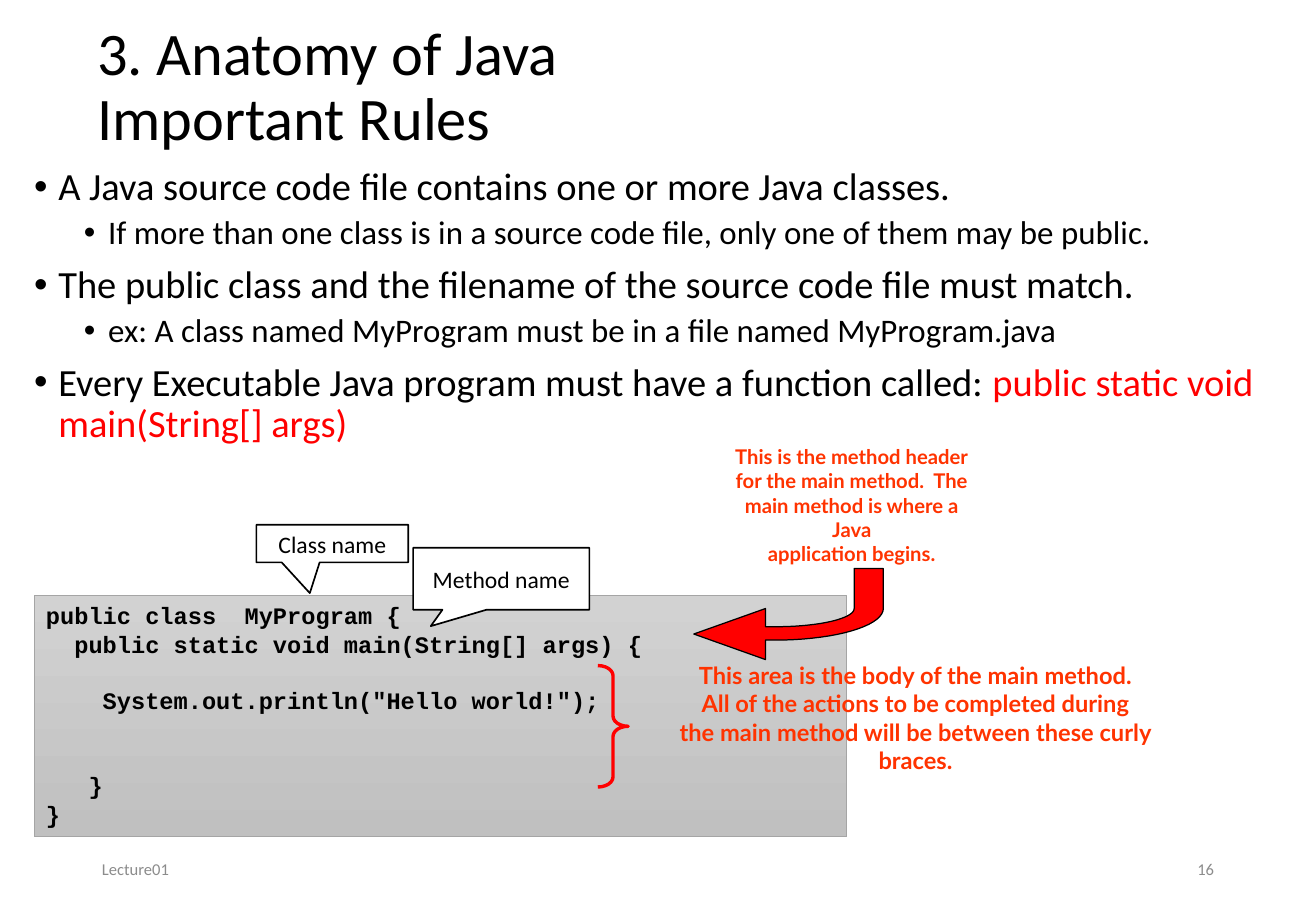
import math

import pptx
import pptx.dml.color
import pptx.enum.shapes
import pptx.enum.text
import pptx.oxml
import pptx.oxml.ns
import pptx.util

Inches = pptx.util.Inches
Pt = pptx.util.Pt
RGB = pptx.dml.color.RGBColor
Shape = pptx.enum.shapes.MSO_SHAPE
Align = pptx.enum.text.PP_ALIGN
Anchor = pptx.enum.text.MSO_ANCHOR
Fit = pptx.enum.text.MSO_AUTO_SIZE

BLACK = RGB(0, 0, 0)
WHITE = RGB(255, 255, 255)
RED = RGB(255, 0, 0)
ORANGE = RGB(0xFF, 0x33, 0x00)
GREY = RGB(0x8C, 0x8C, 0x8C)
EDGE = RGB(0xA5, 0xA5, 0xA5)
SHADES = RGB(0xD2, 0xD2, 0xD2), RGB(0xC0, 0xC0, 0xC0)

RULES = [
    (0, ["A Java source code file contains one or more Java classes."]),
    (1, ["If more than one class is in a source code file, only one of them may be public."]),
    (0, ["The public class and the filename of the source code file must match."]),
    (1, ["ex: A class named MyProgram must be in a file named MyProgram.java"]),
    (0, ["Every Executable Java program must have a function called: ",
         "public static void main(String[] args)"]),
]
LEVELS = [(22.8, 8.1, 0.2), (19.5, 4.1, 0.61)]
CODE = [
    (0, "public class  MyProgram {"),
    (0, "  public static void main(String[] args) {"),
    (1, "    System.out.println(\"Hello world!\");"),
    (2, "   }"),
    (0, "}"),
]
HEADER = """This is the method header
for the main method.  The
main method is where a Java
application begins."""
BODY = """This area is the body of the main method.
All of the actions to be completed during
the main method will be between these curly braces."""


def place(shape, box):
    shape.left, shape.top, shape.width, shape.height = map(Inches, box)


def style(frame, size, color, font="Calibri", bold=False, align=Align.LEFT):
    for para in frame.paragraphs:
        para.alignment = align
        for run in para.runs:
            run.font.size = Pt(size)
            run.font.name = font
            run.font.bold = bold
            run.font.color.rgb = color


def add_form(slide, kind, box, line, width):
    form = slide.shapes.add_shape(kind, *map(Inches, box))
    form.shadow.inherit = False
    form.line.color.rgb = line
    form.line.width = Pt(width)
    return form


def add_label(slide, box, text, wrap=True):
    frame = slide.shapes.add_textbox(*map(Inches, box)).text_frame
    frame.word_wrap = wrap
    frame.text = text
    return frame


def add_title(slide, box):
    title = slide.shapes.title
    place(title, box)
    frame = title.text_frame
    frame.text = "3. Anatomy of Java \vImportant Rules"
    frame.auto_size = Fit.NONE
    frame.vertical_anchor = Anchor.MIDDLE
    frame.paragraphs[0].line_spacing = 0.9
    style(frame, 35.8, BLACK)


def add_rules(slide, box):
    body = slide.placeholders[1]
    place(body, box)
    frame = body.text_frame
    frame.text = "\n".join("".join(parts) for level, parts in RULES)
    frame.auto_size = Fit.NONE
    for para, (level, parts) in zip(frame.paragraphs, RULES):
        size, gap, indent = LEVELS[level]
        para.level = level
        para.line_spacing = 0.9
        para.space_before = Pt(gap)
        para.runs[0].text = parts[0]
        for part in parts[1:]:
            para.add_run().text = part
        for run, color in zip(para.runs, (BLACK, RED)):
            run.font.size = Pt(size)
            run.font.name = "Calibri"
            run.font.color.rgb = color
        props = para._p.get_or_add_pPr()
        props.set("marL", str(Inches(indent)))
        props.set("indent", str(-Inches(0.2)))
        names = pptx.oxml.ns.nsdecls("a")
        props.append(pptx.oxml.parse_xml(f'<a:buFont {names} typeface="Arial"/>'))
        props.append(pptx.oxml.parse_xml(f'<a:buChar {names} char="•"/>'))


def add_code(slide, box):
    panel = add_form(slide, Shape.RECTANGLE, box, EDGE, 0.5)
    panel.fill.gradient()
    panel.fill.gradient_angle = 270
    for stop, shade in zip(panel.fill.gradient_stops, SHADES):
        stop.color.rgb = shade
    frame = panel.text_frame
    frame.word_wrap = True
    frame.vertical_anchor = Anchor.TOP
    frame.text = "\n".join(text for gap, text in CODE)
    style(frame, 14, BLACK, "Courier New", True)
    pitch = 16.8
    for para, (gap, text) in zip(frame.paragraphs, CODE):
        para.line_spacing = Pt(pitch)
        para.space_before = Pt(gap * pitch)


def add_callout(slide, box, text, tip):
    call = add_form(slide, Shape.RECTANGULAR_CALLOUT, box, BLACK, 1)
    call.fill.solid()
    call.fill.fore_color.rgb = WHITE
    call.adjustments[0], call.adjustments[1] = tip
    frame = call.text_frame
    frame.word_wrap = True
    frame.vertical_anchor = Anchor.MIDDLE
    frame.text = text
    style(frame, 14, BLACK, align=Align.CENTER)


def add_body(slide, box):
    left, top, width, height = box
    brace = add_form(slide, Shape.RIGHT_BRACE, (left, top + 0.09, 0.25, 1), RED, 2)
    brace.fill.background()
    brace.adjustments[0], brace.adjustments[1] = 0.333, 0.5
    frame = add_label(slide, (left + 0.25, top, width - 0.25, 0.81), BODY, False)
    style(frame, 14, ORANGE, "Lato", True, Align.CENTER)


def add_arrow(slide, left, top):
    turns = [math.radians(step * 5) for step in range(19)]

    def arc(wide, high):
        return [(0.67 + wide * math.cos(turn), 0.33 + high * math.sin(turn)) for turn in turns]

    points = [(0, 0.54), (0.59, 0.75), (0.59, 0.59), *reversed(arc(0.89, 0.26)),
              (1.56, 0), (1.32, 0), *arc(0.65, 0.15), (0.59, 0.48), (0.59, 0.33)]
    spots = [(Inches(left + x), Inches(top + y)) for x, y in points]
    pen = slide.shapes.build_freeform(*spots[0])
    pen.add_line_segments(spots[1:], close=True)
    arrow = pen.convert_to_shape()
    arrow.shadow.inherit = False
    arrow.fill.solid()
    arrow.fill.fore_color.rgb = RED
    arrow.line.color.rgb = BLACK
    arrow.line.width = Pt(0.75)


def add_header(slide, box):
    left, top, width, height = box
    frame = add_label(slide, (left, top, width, 0.9), HEADER, False)
    style(frame, 12, ORANGE, "Lato", True, Align.CENTER)
    add_arrow(slide, left - 0.15, top + 1.07)


def add_footer(slide, box):
    left, top, width, height = box
    part = 2.44
    for text, start, align in (("Lecture01", left, Align.LEFT),
                               ("16", left + width - part, Align.RIGHT)):
        frame = add_label(slide, (start, top, part, height), text)
        frame.vertical_anchor = Anchor.MIDDLE
        style(frame, 9.8, GREY, align=align)


def main():
    deck = pptx.Presentation()
    deck.slide_width, deck.slide_height = Inches(10.83), Inches(7.5)
    slide = deck.slides.add_slide(deck.slide_layouts[1])
    add_title(slide, (0.7, 0, 9.34, 1.45))
    add_rules(slide, (0.18, 1.33, 10.38, 3.27))
    add_footer(slide, (0.74, 6.95, 9.35, 0.4))
    add_code(slide, (0.28, 4.9, 6.69, 1.99))
    add_callout(slide, (2.11, 4.32, 1.25, 0.31), "Class name", (-0.148, 1.318))
    add_callout(slide, (3.4, 4.51, 1.45, 0.51), "Method name", (-0.4, 0.765))
    add_body(slide, (4.92, 5.39, 4.98, 1.09))
    add_header(slide, (5.86, 3.61, 2.3, 1.82))
    deck.save("out.pptx")


if __name__ == "__main__":
    main()
